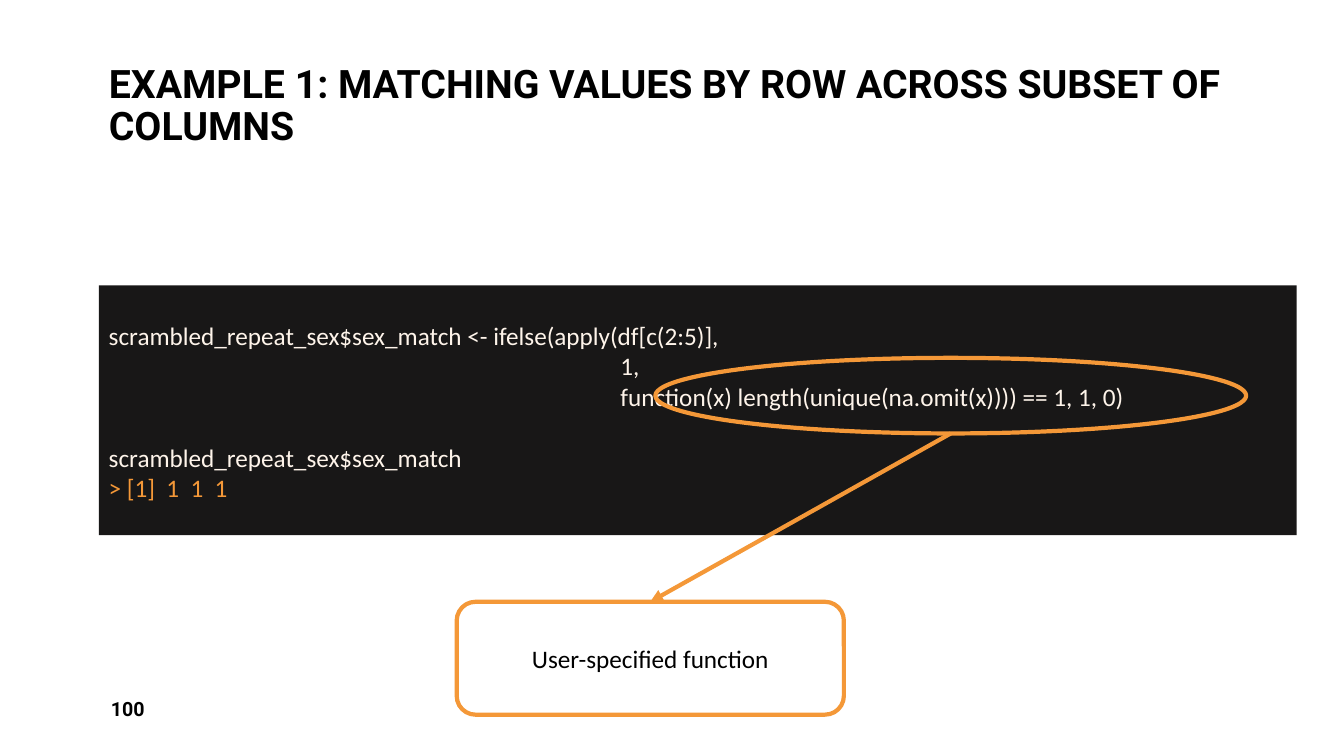
from lxml import etree
from pptx import Presentation
from pptx import util as u
from pptx.dml.color import RGBColor
from pptx.enum import shapes as sh, text as tx
from pptx.oxml import ns

HUES = {"ink": "000000", "panel": "181717", "code": "FEF4EA", "mark": "F49838"}
INDENT = " " * 90
# Each code line: wording, colour, space before in points
CODE = [
    ("scrambled_repeat_sex$sex_match <- ifelse(apply(df[c(2:5)],", "code", 0),
    (INDENT + "1,", "code", 0),
    (INDENT + "function(x) length(unique(na.omit(x)))) == 1, 1, 0)", "code", 0),
    ("scrambled_repeat_sex$sex_match", "code", 22),
    ("> [1]  1  1  1", "mark", 0),
]


def hue(name):
    return RGBColor.from_string(HUES[name])


def place(box):
    return [u.Inches(n) for n in box]


def write(para, words, size, face, tint, bold=False):
    run = para.add_run()
    run.text = words
    run.font.size = u.Pt(size)
    run.font.name = face
    run.font.bold = bold
    run.font.color.rgb = hue(tint)


def shape(slide, kind, box, fill=None, line=None):
    item = slide.shapes.add_shape(kind, *place(box))
    item.shadow.inherit = False
    if fill:
        item.fill.solid()
        item.fill.fore_color.rgb = hue(fill)
    else:
        item.fill.background()
    if line:
        item.line.color.rgb = hue(line)
        item.line.width = u.Pt(3)
    else:
        item.line.fill.background()
    return item


def title(slide, box, words):
    head = slide.shapes.title
    head.left, head.top, head.width, head.height = place(box)
    frame = head.text_frame
    frame.auto_size = tx.MSO_AUTO_SIZE.NONE
    frame.word_wrap = True
    frame.vertical_anchor = tx.MSO_ANCHOR.BOTTOM
    para = frame.paragraphs[0]
    para.alignment = tx.PP_ALIGN.LEFT
    para.line_spacing = 0.9
    write(para, words, 28, "Roboto", "ink", True)


def number(slide, box, words):
    frame = slide.shapes.add_textbox(*place(box)).text_frame
    frame.word_wrap = True
    frame.vertical_anchor = tx.MSO_ANCHOR.MIDDLE
    write(frame.paragraphs[0], words, 14, "Roboto", "ink", True)


def panel(slide, box, lines):
    """Dark box of code, with one line of space above the text."""
    frame = shape(slide, sh.MSO_SHAPE.RECTANGLE, box, fill="panel").text_frame
    frame.word_wrap = True
    frame.vertical_anchor = tx.MSO_ANCHOR.TOP
    frame.margin_top = u.Inches(0.35)
    for i, (words, tint, gap) in enumerate(lines):
        para = frame.add_paragraph() if i else frame.paragraphs[0]
        para.alignment = tx.PP_ALIGN.LEFT
        if gap:
            para.space_before = u.Pt(gap)
        write(para, words, 18, "Calibri", tint)


def arrow(slide, start, end):
    """Arrow from the foot of one shape to the top of another."""
    link = slide.shapes.add_connector(
        sh.MSO_CONNECTOR.STRAIGHT,
        start.left + start.width // 2, start.top + start.height,
        end.left + end.width // 2, end.top)
    link.line.color.rgb = hue("mark")
    link.line.width = u.Pt(3)
    etree.SubElement(link.line._get_or_add_ln(), ns.qn("a:tailEnd"), type="triangle")
    etree.SubElement(link._element.spPr, ns.qn("a:effectLst"))


def callout(slide, ring, note, words):
    """Ring round a piece of code, with an arrow to its label."""
    oval = shape(slide, sh.MSO_SHAPE.OVAL, ring, line="mark")
    label = shape(slide, sh.MSO_SHAPE.ROUNDED_RECTANGLE, note, line="mark")
    frame = label.text_frame
    frame.word_wrap = True
    frame.vertical_anchor = tx.MSO_ANCHOR.MIDDLE
    para = frame.paragraphs[0]
    para.alignment = tx.PP_ALIGN.CENTER
    write(para, words, 18, "Calibri", "ink")
    arrow(slide, oval, label)


def main():
    deck = Presentation()
    deck.slide_width, deck.slide_height = place((13.33, 7.5))
    slide = deck.slides.add_slide(deck.slide_layouts[5])
    title(slide, (0.98, 0.08, 11.38, 1.45),
          "EXAMPLE 1: MATCHING VALUES BY ROW ACROSS SUBSET OF COLUMNS")
    number(slide, (1, 6.83, 2.92, 0.4), "100")
    panel(slide, (0.98, 2.83, 11.88, 2.48), CODE)
    callout(slide, (6.5, 3.55, 5.86, 0.75), (4.53, 5.97, 3.84, 1.12),
            "User-specified function")
    deck.save("out.pptx")


if __name__ == "__main__":
    main()
